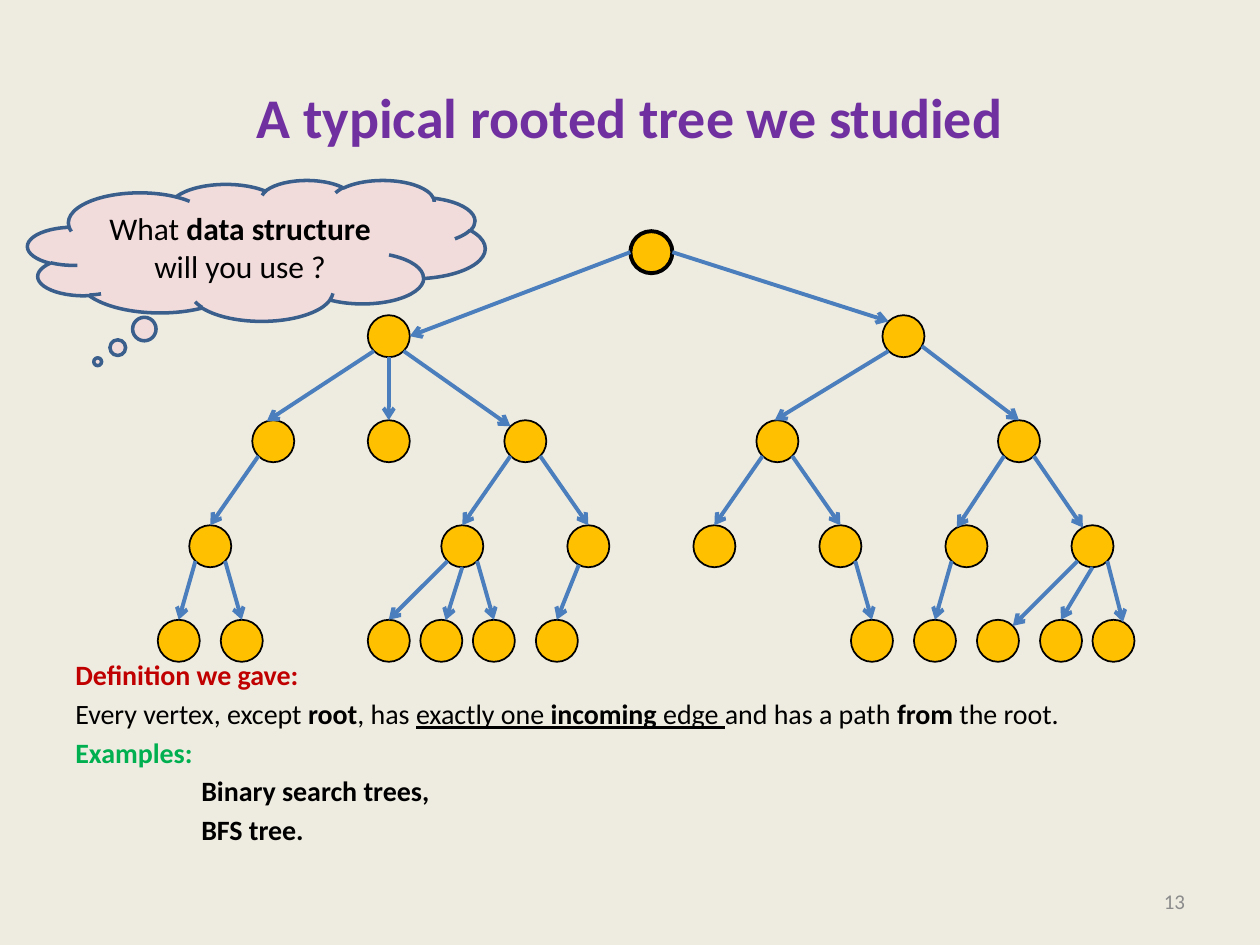
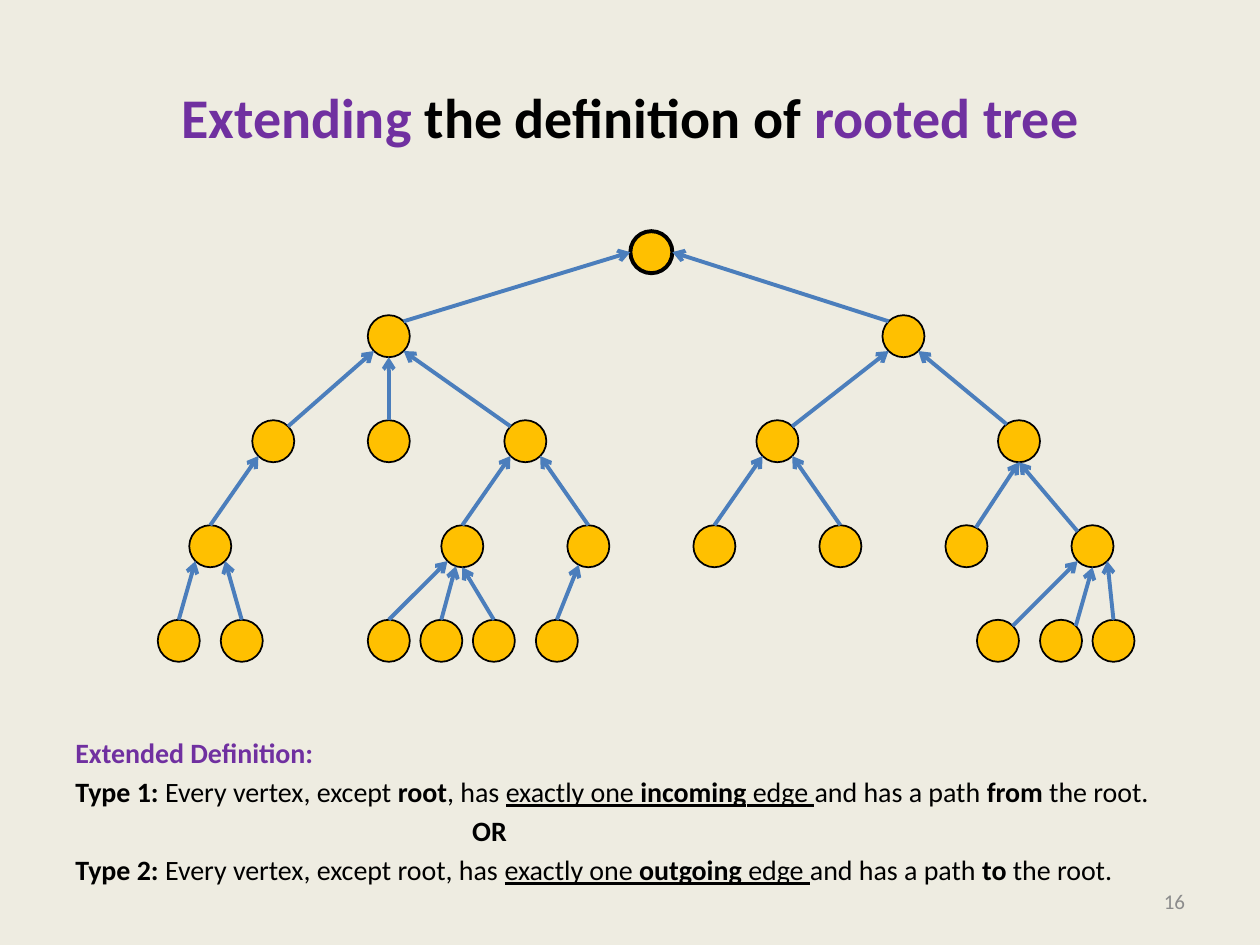
"""Build two slides about rooted trees."""
from math import cos, pi, sin

from lxml import etree
from pptx import Presentation
from pptx import util as u
from pptx.dml.color import RGBColor
from pptx.enum import shapes, text
from pptx.oxml import ns

Cm, Pt = u.Cm, u.Pt
FONT = "Calibri"
CREAM = RGBColor(0xEE, 0xEC, 0xE1)
PURPLE = RGBColor(0x70, 0x30, 0xA0)
RED = RGBColor(0xC0, 0x00, 0x00)
GREEN = RGBColor(0x00, 0xB0, 0x50)
BLACK = RGBColor(0x00, 0x00, 0x00)
GREY = RGBColor(0x8C, 0x8C, 0x8C)
GOLD = RGBColor(0xFF, 0xC0, 0x00)
BLUE = RGBColor(0x4B, 0x7E, 0xBC)
NAVY = RGBColor(0x3A, 0x5F, 0x8C)
PINK = RGBColor(0xF2, 0xDC, 0xDB)

TITLE = (1.27, 0.76, 22.86, 3.18)
PAGE = (18.21, 17.65, 5.93, 1.02)
TREE = (3.18, 4.66, 19.69, 8.68)
CLOUD = (0.56, 3.63, 9.22, 2.84)

SPAN = 93
SIZE = 4
ROWS = {
    "a": (0, [45]),
    "b": (8, [20, 69]),
    "c": (18, [9, 20, 33, 57, 80]),
    "d": (28, [3, 27, 39, 51, 63, 75, 87]),
    "e": (37, [0, 6, 20, 25, 30, 36, 66, 72, 78, 84, 89]),
}

# Each edge leaves the parent and meets the child at a clock hour.
EDGES = {
    "a0 b0": (9, 3), "a0 b1": (3, 10.5),
    "b0 c0": (7.5, 11.4), "b0 c1": (6, 0), "b0 c2": (4.5, 10.5),
    "b1 c3": (7.5, 11.75), "b1 c4": (3.95, 0),
    "c0 d0": (7.5, 0), "c2 d1": (7.5, 0), "c2 d2": (4.5, 0),
    "c3 d3": (7.5, 0), "c3 d4": (4.5, 0),
    "c4 d5": (7.5, 11.1), "c4 d6": (4.5, 11.1),
    "d0 e0": (7.5, 0), "d0 e1": (4.5, 0),
    "d1 e2": (7.5, 0), "d1 e3": (6, 0.4), "d1 e4": (4.5, 0),
    "d2 e5": (6.9, 0), "d4 e6": (4.5, 0), "d5 e7": (7.5, 0),
    "d6 e8": (7.5, 1.5), "d6 e9": (6, 0), "d6 e10": (4.5, 0.9),
}
UPWARD = EDGES | {
    "a0 b0": (9, 1.5), "b0 c0": (7.5, 1.5),
    "b1 c3": (7.5, 1.5), "b1 c4": (4.5, 10.8),
    "c4 d5": (6, 0.9), "c4 d6": (6, 10.5),
    "d1 e3": (6.6, 0), "d1 e4": (6, 0),
    "d6 e9": (6, 1.5), "d6 e10": (4.5, 0),
}


def fill_line(par, runs, size):
    """Add runs of (text, marks, colour) to a paragraph."""
    for words, marks, color in runs:
        run = par.add_run()
        run.text = words
        font = run.font
        font.name, font.size = FONT, Pt(size)
        font.bold, font.underline = "b" in marks, "u" in marks
        font.color.rgb = color


def add_text(slide, box, lines, size, align=text.PP_ALIGN.LEFT,
             anchor=text.MSO_ANCHOR.MIDDLE):
    """Add a text box of (indent, runs) lines."""
    frame = slide.shapes.add_textbox(*map(Cm, box)).text_frame
    frame.word_wrap = True
    frame.vertical_anchor = anchor
    for i, (indent, runs) in enumerate(lines):
        par = frame.add_paragraph() if i else frame.paragraphs[0]
        par.alignment = align
        if i:
            par.space_before = Pt(3)
        if indent:
            par._p.get_or_add_pPr().set("marL", str(Cm(indent)))
        fill_line(par, runs, size)


def add_base(prs, title, page):
    """Add a slide with its background, title and page number."""
    slide = prs.slides.add_slide(prs.slide_layouts[6])
    back = slide.background.fill
    back.solid()
    back.fore_color.rgb = CREAM
    add_text(slide, TITLE, [(0, title)], 32, text.PP_ALIGN.CENTER)
    add_text(slide, PAGE, [(0, [(page, "", GREY)])], 12,
             text.PP_ALIGN.RIGHT)
    return slide


def paint(shape, fill, line, width):
    """Give a shape flat fill and outline."""
    shape.shadow.inherit = False
    shape.fill.solid()
    shape.fill.fore_color.rgb = fill
    shape.line.color.rgb = line
    shape.line.width = Pt(width)


def add_arrow(group, start, end):
    """Draw an arrow between two points."""
    link = group.shapes.add_connector(
        shapes.MSO_CONNECTOR.STRAIGHT, *map(Cm, start + end))
    link.line.color.rgb = BLUE
    link.line.width = Pt(2.25)
    etree.SubElement(link.line._get_or_add_ln(), ns.qn("a:tailEnd"),
                     type="arrow")
    etree.SubElement(link._element.spPr, ns.qn("a:effectLst"))


def add_tree(slide, box, edges, upward=False, skip=()):
    """Draw the nodes on a grid and the arrows between them."""
    left, top, width, _ = box
    unit = width / SPAN
    group = slide.shapes.add_group_shape()
    spots = {}
    for row, (y, cols) in ROWS.items():
        for i, x in enumerate(cols):
            name = f"{row}{i}"
            if name in skip:
                continue
            spots[name] = (x + SIZE / 2, y + SIZE / 2)
            node = group.shapes.add_shape(
                shapes.MSO_SHAPE.OVAL, Cm(left + x * unit),
                Cm(top + y * unit), Cm(SIZE * unit), Cm(SIZE * unit))
            paint(node, GOLD, BLACK, 2.25 if row == "a" else 1)

    def rim(name, hour):
        """Find the point on a node's rim at a clock hour."""
        x, y = spots[name]
        turn = hour * pi / 6
        return (left + (x + SIZE / 2 * sin(turn)) * unit,
                top + (y - SIZE / 2 * cos(turn)) * unit)

    for pair, hours in edges.items():
        names = pair.split()
        if names[1] in skip:
            continue
        ends = [rim(*end) for end in zip(names, hours)]
        add_arrow(group, *(reversed(ends) if upward else ends))


def add_cloud(slide, box):
    """Add the thought cloud with its question."""
    cloud = slide.shapes.add_shape(
        shapes.MSO_SHAPE.CLOUD_CALLOUT, *map(Cm, box))
    cloud.adjustments[0], cloud.adjustments[1] = -0.347, 0.79
    paint(cloud, PINK, NAVY, 2)
    frame = cloud.text_frame
    frame.word_wrap = True
    frame.vertical_anchor = text.MSO_ANCHOR.MIDDLE
    par = frame.paragraphs[0]
    par.alignment = text.PP_ALIGN.CENTER
    fill_line(par, [("What ", "", BLACK), ("data structure ", "b", BLACK),
                    ("will you use ?", "", BLACK)], 18)


def rule(kind, way, mark="b"):
    """Return the runs of one definition."""
    parts = [("Every vertex, except ", ""), ("root", mark), (", has ", ""),
             ("exactly one ", "u"), (kind, "bu"), (" edge ", "u"),
             ("and has a path ", ""), (way, "b"), (" the root.", "")]
    return [(words, marks, BLACK) for words, marks in parts]


def add_notion(slide, top, lines):
    """Add the definitions below the tree."""
    add_text(slide, (1.27, top, 22.86, 18.42 - top), lines, 16,
             anchor=text.MSO_ANCHOR.TOP)


def typical(prs):
    """Build the slide on the usual rooted tree."""
    slide = add_base(
        prs, [("A typical rooted tree we studied", "b", PURPLE)], "13")
    add_notion(slide, 13.13, [
        (0, [("Definition we gave:", "b", RED)]),
        (0, rule("incoming", "from")),
        (0, [("Examples:", "b", GREEN)]),
        (2.54, [("Binary search trees,", "b", BLACK)]),
        (2.54, [("BFS tree.", "b", BLACK)]),
    ])
    add_tree(slide, TREE, EDGES)
    add_cloud(slide, CLOUD)


def extended(prs):
    """Build the slide on the extended definition."""
    slide = add_base(prs, [
        ("Extending ", "b", PURPLE), ("the definition of ", "b", BLACK),
        ("rooted tree", "b", PURPLE)], "16")
    add_notion(slide, 14.71, [
        (0, [("Extended Definition:", "b", PURPLE)]),
        (0, [("Type 1: ", "b", BLACK)] + rule("incoming", "from")),
        (8, [("OR", "b", BLACK)]),
        (0, [("Type 2: ", "b", BLACK)] + rule("outgoing", "to", "")),
    ])
    add_tree(slide, TREE, UPWARD, upward=True, skip=("e6", "e7"))


def main():
    """Build and save the deck."""
    prs = Presentation()
    prs.slide_width, prs.slide_height = Cm(25.4), Cm(19.05)
    typical(prs)
    extended(prs)
    prs.save("out.pptx")


if __name__ == "__main__":
    main()
